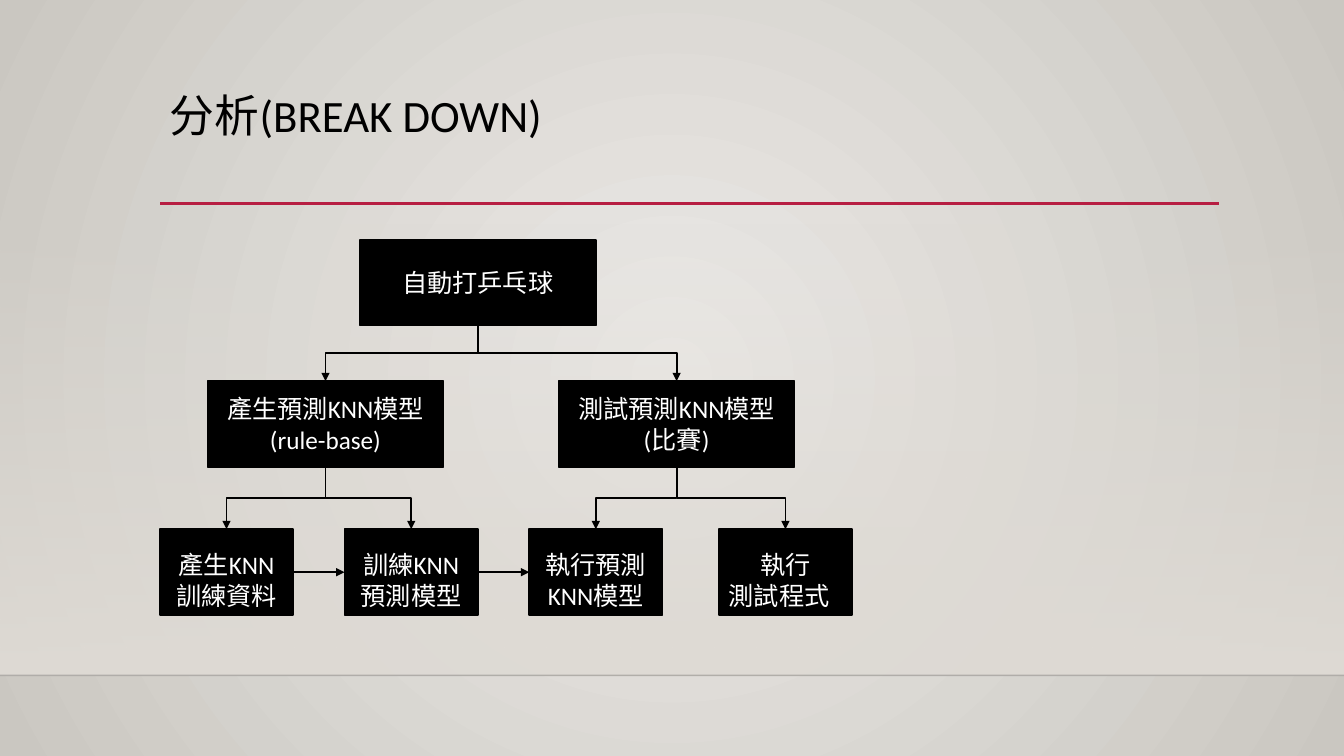
import pptx
import pptx.util
import pptx.dml.color
import pptx.enum.shapes
import pptx.enum.text
import pptx.oxml
import pptx.oxml.ns

Pt = pptx.util.Pt
qn = pptx.oxml.ns.qn
Align = pptx.enum.text.PP_ALIGN
Anchor = pptx.enum.text.MSO_ANCHOR
Connector = pptx.enum.shapes.MSO_CONNECTOR
RECTANGLE = pptx.enum.shapes.MSO_SHAPE.RECTANGLE

COLORS = {
    "ink": "000000",
    "paper": "FFFFFF",
    "accent": "B71E42",
    "center": "ECEAE7",
    "edge": "CAC7C1",
    "floor": "DFDBD5",
    "horizon": "000001",
}
TOP, LEFT, BOTTOM, RIGHT = range(4)  # connection sites of a rectangle


def color(name):
    return pptx.dml.color.RGBColor.from_string(COLORS[name])


def add_xml(parent, tag, **attributes):
    child = pptx.oxml.parse_xml(f"<a:{tag} {pptx.oxml.ns.nsdecls('a')}/>")
    for key, value in attributes.items():
        child.set(key, str(value))
    parent.append(child)
    return child


class Diagram:
    font = "Calibri"
    line_width = 1.25

    def __init__(self, page):
        self.page = page

    def gradient(self, fill, *names):
        fill.gradient()
        for stop, name, position in zip(fill.gradient_stops, names, (0, 1)):
            stop.color.rgb = color(name)
            stop.position = position

    def background(self):
        self.gradient(self.page.background.fill, "center", "edge")
        gradient = next(self.page.element.iter(qn("a:gradFill")))
        gradient.remove(gradient.find(qn("a:lin")))
        circle = add_xml(gradient, "path", path="circle")
        add_xml(circle, "fillToRect", l=50000, t=50000, r=50000, b=50000)

    def fading_band(self, left, top, width, height):
        """Rectangle that turns from clear at the top to solid at the bottom."""
        band = self.page.shapes.add_shape(RECTANGLE, Pt(left), Pt(top), Pt(width), Pt(height))
        band.shadow.inherit = False
        band.line.fill.background()
        self.gradient(band.fill, "floor", "floor")
        band.fill.gradient_angle = 270
        first_color = next(band.element.spPr.iter(qn("a:srgbClr")))
        add_xml(first_color, "alpha", val=0)

    def style_line(self, line, name, width, opacity=100):
        line.line.color.rgb = color(name)
        line.line.width = Pt(width)
        if opacity < 100:
            add_xml(next(line.element.spPr.iter(qn("a:srgbClr"))), "alpha", val=opacity * 1000)
        add_xml(line.element.spPr, "effectLst")

    def rule(self, left, right, y, name, width, opacity=100):
        line = self.page.shapes.add_connector(
            Connector.STRAIGHT, Pt(left), Pt(y), Pt(right), Pt(y))
        self.style_line(line, name, width, opacity)

    def add_span(self, para, text, size, name):
        span = para.add_run()
        span.text = text
        span.font.size = Pt(size)
        span.font.name = self.font
        span.font.color.rgb = color(name)

    def title(self, text, left, top, width, height):
        box = self.page.shapes.add_textbox(Pt(left), Pt(top), Pt(width), Pt(height))
        box.text_frame.word_wrap = True
        para = box.text_frame.paragraphs[0]
        para.line_spacing = 0.9
        self.add_span(para, text, 32, "ink")

    def box(self, lines, left, top, width, height=61.4, anchor=Anchor.MIDDLE, last=Align.CENTER):
        box = self.page.shapes.add_shape(RECTANGLE, Pt(left), Pt(top), Pt(width), Pt(height))
        box.shadow.inherit = False
        box.fill.solid()
        box.fill.fore_color.rgb = color("ink")
        box.line.color.rgb = color("ink")
        box.line.width = Pt(self.line_width)
        frame = box.text_frame
        frame.word_wrap = True
        frame.vertical_anchor = anchor
        for index, text in enumerate(lines):
            para = frame.add_paragraph() if index else frame.paragraphs[0]
            para.alignment = Align.CENTER
            self.add_span(para, text, 18, "paper")
        para.alignment = last
        return box

    def arrow(self, kind, start, start_site, end, end_site):
        arrow = self.page.shapes.add_connector(kind, 0, 0, 0, 0)
        arrow.begin_connect(start, start_site)
        arrow.end_connect(end, end_site)
        self.style_line(arrow, "ink", self.line_width)
        add_xml(arrow.element.spPr.find(qn("a:ln")), "tailEnd", type="triangle")
        return arrow

    def branch(self, parent, child):
        """Elbow arrow that leaves downwards, so its frame is a quarter turn."""
        arrow = self.arrow(Connector.ELBOW, parent, BOTTOM, child, TOP)
        run, drop = arrow.end_x - arrow.begin_x, arrow.end_y - arrow.begin_y
        middle_x = arrow.begin_x + run // 2
        middle_y = arrow.begin_y + drop // 2
        arrow.left, arrow.top = middle_x - drop // 2, middle_y - abs(run) // 2
        arrow.width, arrow.height = drop, abs(run)
        frame = arrow.element.spPr.find(qn("a:xfrm"))
        frame.set("rot", str((270 if run > 0 else 90) * 60000))
        frame.set("flipH", "1" if run > 0 else "0")


def main():
    deck = pptx.Presentation()
    deck.slide_width, deck.slide_height = Pt(960), Pt(540)
    diagram = Diagram(deck.slides.add_slide(deck.slide_layouts[6]))

    diagram.background()
    diagram.fading_band(0, 159, 960, 323.4)
    diagram.rule(0, 960, 482.4, "horizon", 1, opacity=20)
    diagram.rule(114.3, 870.9, 145.3, "accent", 2.5)
    diagram.title("分析(BREAK DOWN)", 114.3, 63.2, 756, 82.6)

    wide, narrow = 168.6, 95.2
    goal = diagram.box(["自動打乒乓球"], 257, 171.2, wide)
    build = diagram.box(["產生預測KNN模型", "(rule-base)"], 148.2, 272.2, wide)
    test = diagram.box(["測試預測KNN模型", "(比賽)"], 399, 272.2, wide)

    steps = [
        (build, ["產生KNN", "訓練資料"], 114.2, Align.CENTER),
        (build, ["訓練KNN", "預測模型"], 246.1, Align.CENTER),
        (test, ["執行預測KNN模型"], 378, Align.CENTER),
        (test, ["執行", "測試程式"], 513.4, Align.LEFT),
    ]
    leaves = []
    for parent, lines, left, last in steps:
        leaf = diagram.box(lines, left, 378, narrow, anchor=Anchor.BOTTOM, last=last)
        diagram.branch(parent, leaf)
        leaves.append(leaf)

    for stage in (build, test):
        diagram.branch(goal, stage)
    for before, after in zip(leaves[:2], leaves[1:3]):
        diagram.arrow(Connector.STRAIGHT, before, RIGHT, after, LEFT)

    deck.save("out.pptx")


if __name__ == "__main__":
    main()
